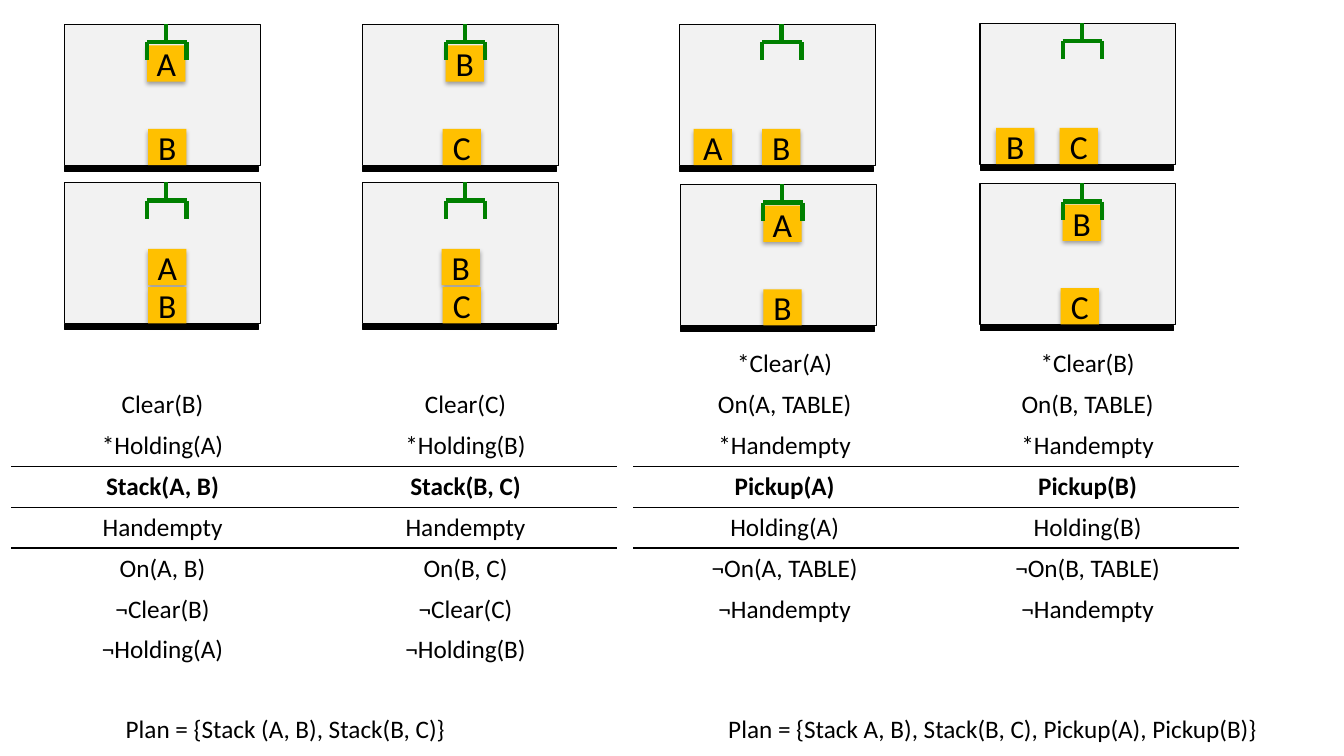
from pptx import Presentation
from pptx.dml.color import RGBColor
from pptx.enum.shapes import MSO_CONNECTOR, MSO_SHAPE
from pptx.enum.text import MSO_ANCHOR, MSO_AUTO_SIZE, PP_ALIGN
from pptx.oxml import parse_xml
from pptx.oxml.ns import nsdecls
from pptx.util import Inches, Pt

BLACK = RGBColor(0x00, 0x00, 0x00)
GRAY = RGBColor(0xF2, 0xF2, 0xF2)
GOLD = RGBColor(0xFF, 0xC0, 0x00)
GREEN = RGBColor(0x00, 0x80, 0x00)

PLAIN = "{2D5ABB26-0587-4C30-8999-92F81FD0307C}"
SHADOW = f"""<a:effectLst {nsdecls('a')}>
  <a:outerShdw blurRad="40000" dist="23000" dir="5400000" rotWithShape="0">
    <a:srgbClr val="000000"><a:alpha val="35000"/></a:srgbClr>
  </a:outerShdw></a:effectLst>"""
RULE = """<a:{side} {ns} w="12700"><a:solidFill><a:srgbClr val="000000"/>
  </a:solidFill></a:{side}>"""


def write(frame, text, size=18, bold=False):
    para = frame.paragraphs[0]
    para.alignment = PP_ALIGN.CENTER
    if text:
        run = para.add_run()
        run.text = text
        run.font.name = "Calibri"
        run.font.size = Pt(size)
        run.font.bold = bold
        run.font.color.rgb = BLACK


def add_box(shapes, x, y, w, h, fill, edge=True):
    box = shapes.add_shape(MSO_SHAPE.RECTANGLE, Inches(x), Inches(y), Inches(w), Inches(h))
    box.shadow.inherit = False
    box.fill.solid()
    box.fill.fore_color.rgb = fill
    if edge:
        box.line.color.rgb = BLACK
        box.line.width = Pt(0.75)
    else:
        box.line.fill.background()
    return box


prs = Presentation()
prs.slide_width = Inches(13.33)
prs.slide_height = Inches(7.5)
slide = prs.slides.add_slide(prs.slide_layouts[6])

# Block heights and claw lines, measured from the panel's top left corner
HELD, UPPER, FLOOR = 0.21, 0.66, 1.04
CLAW = [
    (0.82, 0.18, 1.21, 0.18),
    (0.82, 0.18, 0.82, 0.36),
    (1.01, 0, 1.01, 0.18),
    (1.21, 0.18, 1.21, 0.36),
]

# Panel left and top, then each block's letter and offset
panels = [
    (0.64, 0.24, [("A", 0.82, HELD), ("B", 0.83, FLOOR)]),
    (3.6, 0.24, [("B", 0.82, HELD), ("C", 0.79, FLOOR)]),
    (6.74, 0.24, [("A", 0.14, FLOOR), ("B", 0.82, FLOOR)]),
    (9.72, 0.23, [("B", 0.16, FLOOR), ("C", 0.79, FLOOR)]),
    (0.64, 1.81, [("A", 0.83, UPPER), ("B", 0.83, FLOOR)]),
    (3.6, 1.81, [("B", 0.78, UPPER), ("C", 0.79, FLOOR)]),
    (6.75, 1.83, [("A", 0.82, HELD), ("B", 0.82, FLOOR)]),
    (9.72, 1.82, [("B", 0.82, HELD), ("C", 0.8, FLOOR)]),
]
for left, top, blocks in panels:
    shapes = slide.shapes.add_group_shape().shapes
    add_box(shapes, left, top, 1.94, 1.4, GRAY)
    add_box(shapes, left, top + 1.41, 1.92, 0.05, BLACK)
    for letter, dx, dy in blocks:
        block = add_box(shapes, left + dx, top + dy, 0.38, 0.36, GOLD, edge=False)
        props = block._element.spPr
        props.replace(props.find("{*}effectLst"), parse_xml(SHADOW))
        block.text_frame.word_wrap = False
        block.text_frame.vertical_anchor = MSO_ANCHOR.MIDDLE
        write(block.text_frame, letter, size=24)
    for x1, y1, x2, y2 in CLAW:
        claw = shapes.add_connector(
            MSO_CONNECTOR.STRAIGHT,
            Inches(left + x1), Inches(top + y1), Inches(left + x2), Inches(top + y2))
        claw.line.color.rgb = GREEN
        claw.line.width = Pt(3)
        claw._element.spPr.append(parse_xml(f"<a:effectLst {nsdecls('a')}/>"))

# Conditions above the action row, effects below it
ACTION = 3
tables = [
    (0.11, [
        ("", ""),
        ("Clear(B)", "Clear(C)"),
        ("*Holding(A)", "*Holding(B)"),
        ("Stack(A, B)", "Stack(B, C)"),
        ("Handempty", "Handempty"),
        ("On(A, B)", "On(B, C)"),
        ("¬Clear(B)", "¬Clear(C)"),
        ("¬Holding(A)", "¬Holding(B)"),
    ]),
    (6.28, [
        ("*Clear(A)", "*Clear(B)"),
        ("On(A, TABLE)", "On(B, TABLE)"),
        ("*Handempty", "*Handempty"),
        ("Pickup(A)", "Pickup(B)"),
        ("Holding(A)", "Holding(B)"),
        ("¬On(A, TABLE)", "¬On(B, TABLE)"),
        ("¬Handempty", "¬Handempty"),
    ]),
]
sides = {ACTION - 1: ["lnB"], ACTION: ["lnT", "lnB"], ACTION + 1: ["lnT"]}
for left, rows in tables:
    high = 0.405 * len(rows)
    table = slide.shapes.add_table(
        len(rows), 2, Inches(left), Inches(3.41), Inches(6.01), Inches(high)).table
    table.first_row = table.horz_banding = False
    table._tbl.tblPr.find("{*}tableStyleId").text = PLAIN
    for r, row in enumerate(rows):
        for c, text in enumerate(row):
            cell = table.cell(r, c)
            cell.vertical_anchor = MSO_ANCHOR.MIDDLE
            for side in sides.get(r, []):
                cell._tc.tcPr.append(parse_xml(RULE.format(side=side, ns=nsdecls("a"))))
            cell.fill.background()
            write(cell.text_frame, text, bold=r == ACTION)

plans = [
    (1.05, 3.56, "Plan = {Stack (A, B), Stack(B, C)}"),
    (7.08, 5.53, "Plan = {Stack A, B), Stack(B, C), Pickup(A), Pickup(B)}"),
]
for left, wide, text in plans:
    frame = slide.shapes.add_textbox(
        Inches(left), Inches(7.03), Inches(wide), Inches(0.4)).text_frame
    frame.word_wrap = True
    frame.auto_size = MSO_AUTO_SIZE.SHAPE_TO_FIT_TEXT
    write(frame, text)

prs.save("out.pptx")
